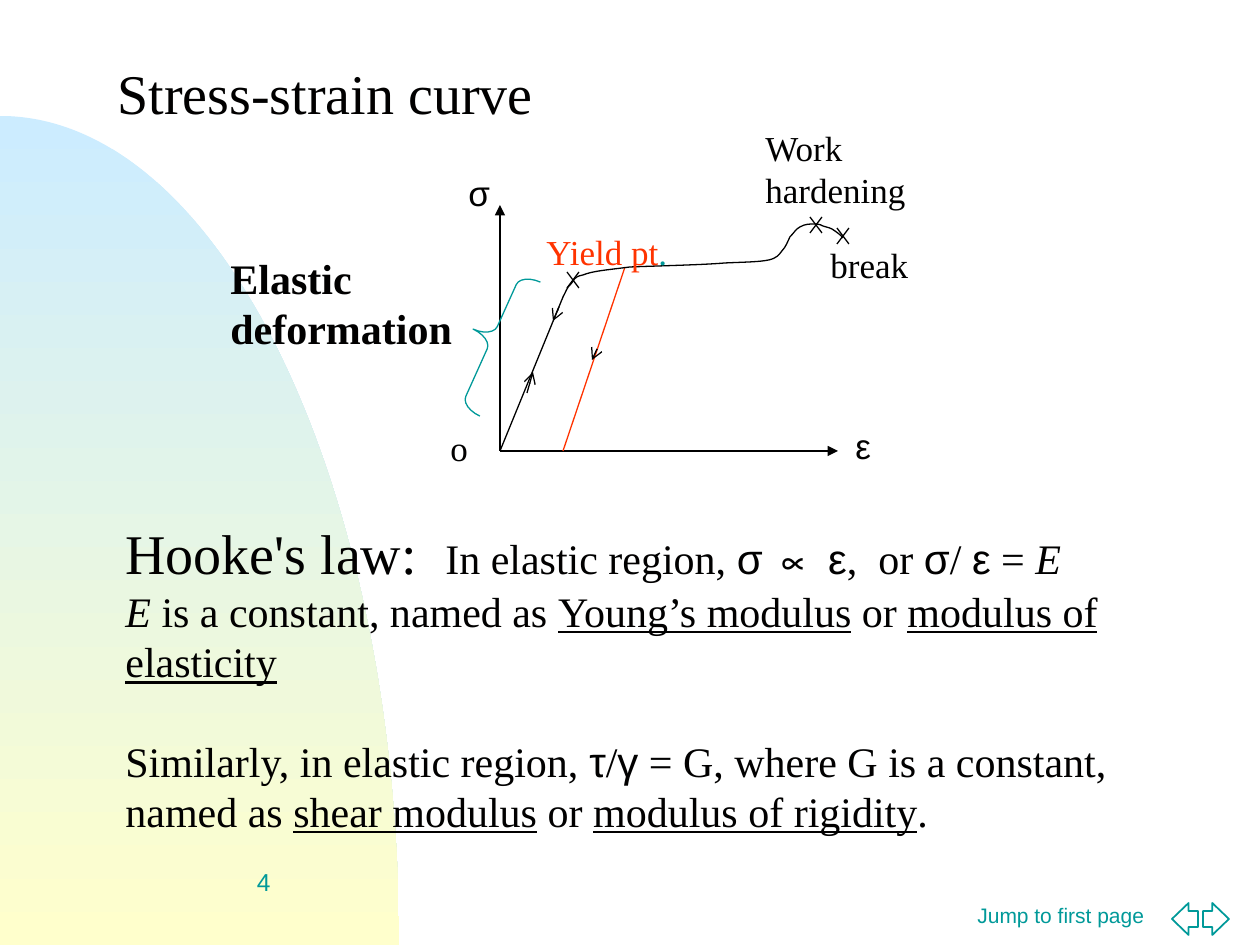
from dataclasses import dataclass

from lxml import etree
from pptx import Presentation
from pptx.dml.color import RGBColor
from pptx.enum.shapes import MSO_CONNECTOR, MSO_SHAPE
from pptx.enum.text import MSO_ANCHOR, MSO_AUTO_SIZE, PP_ALIGN
from pptx.oxml.ns import qn
from pptx.util import Emu, Pt

STRAIGHT = MSO_CONNECTOR.STRAIGHT
BRACE = MSO_SHAPE.LEFT_BRACE
BACK, NEXT = MSO_SHAPE.LEFT_ARROW, MSO_SHAPE.RIGHT_ARROW
LEFT, RIGHT = PP_ALIGN.LEFT, PP_ALIGN.RIGHT
MIDDLE = MSO_ANCHOR.MIDDLE
FIXED = MSO_AUTO_SIZE.NONE


@dataclass(frozen=True)
class Theme:
    ink: str = "010000"
    black: str = "000000"
    teal: str = "009999"
    red: str = "FF3300"
    white: str = "FFFFFF"
    sky: str = "CCECFF"
    sand: str = "FFFFCC"
    serif: str = "Times New Roman"
    sans: str = "Arial"
    head: int = 32
    body: int = 24
    label: int = 20
    page: int = 14
    link: int = 12
    thin: float = 0.75
    scale: float = 914400 / 126


def rgb(code):
    return RGBColor.from_string(code)


class Deck:
    """Draw styled parts on one slide, with lengths in px."""

    def __init__(self, theme):
        self.theme = theme
        self.file = Presentation()
        self.file.slide_width, self.file.slide_height = self.emu(1260, 945)
        self.slide = self.file.slides.add_slide(self.file.slide_layouts[5])
        self.shapes = self.slide.shapes

    def emu(self, *px):
        return [Emu(round(n * self.theme.scale)) for n in px]

    def style(self, run, font=None, size=None, color=None, **marks):
        theme = self.theme
        run.font.name = font or theme.serif
        run.font.size = Pt(size or theme.label)
        run.font.color.rgb = rgb(color or theme.ink)
        for name, value in marks.items():
            setattr(run.font, name, value)

    def title(self, box, words):
        shape = self.shapes.title
        shape.left, shape.top, shape.width, shape.height = self.emu(*box)
        frame = shape.text_frame
        frame.text = words
        frame.auto_size = FIXED
        frame.vertical_anchor = MIDDLE
        para = frame.paragraphs[0]
        para.alignment, para.line_spacing = LEFT, 0.7
        self.style(para.runs[0], size=self.theme.head)

    def text(self, box, *paras, align=LEFT, wrap=True, gaps=(), **base):
        frame = self.shapes.add_textbox(*self.emu(*box)).text_frame
        frame.word_wrap = wrap
        for i, parts in enumerate(paras):
            para = frame.add_paragraph() if i else frame.paragraphs[0]
            para.alignment = align
            if gaps:
                para.space_before = Pt(gaps[i])
            for part in [(parts, {})] if isinstance(parts, str) else parts:
                run = para.add_run()
                run.text = part[0]
                self.style(run, **{**base, **part[1]})

    def line(self, start, end, color=None, tip=None):
        link = self.shapes.add_connector(STRAIGHT, *self.emu(*start, *end))
        link.line.color.rgb = rgb(color or self.theme.black)
        link.line.width = Pt(self.theme.thin)
        if tip:
            stroke = link.line._get_or_add_ln()
            etree.SubElement(stroke, qn("a:tailEnd"), type=tip)
        etree.SubElement(link.element.spPr, qn("a:effectLst"))

    def cross(self, x, y):
        for side in (6, -6):
            self.line((x - side, y - 8), (x + side, y + 8))

    def shape(self, kind, box, adjust, width, fill=None, turn=0):
        shape = self.shapes.add_shape(kind, *self.emu(*box))
        shape.shadow.inherit = False
        shape.rotation = turn
        for i, value in enumerate(adjust):
            shape.adjustments[i] = value
        if fill:
            shape.fill.solid()
            shape.fill.fore_color.rgb = rgb(fill)
        else:
            shape.fill.background()
        shape.line.color.rgb = rgb(self.theme.teal)
        shape.line.width = Pt(width)

    def curve(self, start, points, close=False):
        """Turn each three points after the start into one Bezier arc."""
        pen = self.shapes.build_freeform(*self.emu(*start))
        pen.add_line_segments([self.emu(*p) for p in points], close=close)
        shape = pen.convert_to_shape()
        shape.shadow.inherit = False
        route = shape.element.xpath(".//a:path")[0]
        steps = route.findall(qn("a:lnTo"))
        for arc, *rest in zip(steps[::3], steps[1::3], steps[2::3]):
            arc.tag = qn("a:cubicBezTo")
            for step in rest:
                arc.append(step[0])
                route.remove(step)
        return shape

    def stroke(self, start, points):
        shape = self.curve(start, points)
        shape.fill.background()
        shape.line.color.rgb = rgb(self.theme.black)
        shape.line.width = Pt(self.theme.thin)

    def dome(self, start, points):
        shape = self.curve(start, points, close=True)
        shape.line.fill.background()
        shape.fill.gradient()
        shape.fill.gradient_angle = 270
        shades = (self.theme.sky, self.theme.sand)
        for i, (stop, shade) in enumerate(zip(shape.fill.gradient_stops, shades)):
            stop.position = i
            stop.color.rgb = rgb(shade)


def main():
    theme = Theme()
    deck = Deck(theme)
    deck.dome((0, 116), [(221, 116), (399, 488), (399, 945), (0, 945)])

    small = dict(font=theme.sans, color=theme.teal)
    deck.text((965, 896, 210, 58), "Jump to first page", gaps=[3], size=theme.link, **small)
    for kind, x in ((BACK, 1172), (NEXT, 1203)):
        deck.shape(kind, (x, 903, 26, 32), (0.5, 0.64), 1, theme.white)
    deck.text((21, 861, 262, 63), "4", align=RIGHT, size=theme.page, **small)
    deck.title((105, 21, 840, 158), "Stress-strain curve")

    zero, bend = (500, 451), (563, 297)
    for end in ((500, 205), (838, 451)):
        deck.line(zero, end, tip="triangle")
    deck.line(zero, bend)
    deck.line((625, 267), (563, 451), theme.red)
    deck.stroke(bend, [
        (566, 292), (567, 287), (571, 284), (575, 280), (573, 277), (583, 275),
        (593, 271), (607, 270), (630, 267), (654, 266), (702, 265), (725, 263),
        (747, 262), (759, 262), (769, 260), (777, 258), (779, 255), (782, 251),
        (786, 247), (788, 241), (790, 237), (794, 233), (796, 229), (800, 227),
        (805, 224), (810, 224), (814, 224), (816, 224), (820, 224), (823, 226),
        (825, 227), (828, 227), (832, 229), (837, 232), (843, 237), (843, 238)])
    for start, end in (((559, 307), (553, 321)), ((527, 393), (533, 372)),
                       ((597, 349), (592, 360))):
        deck.line(start, end, tip="arrow")
    for spot in ((816, 225), (843, 236), (573, 280)):
        deck.cross(*spot)

    greek = dict(font=theme.sans)
    deck.text((456, 165, 126, 55), "σ", **greek)
    deck.text((843, 418, 123, 97), "ε", **greek)
    deck.text((438, 420, 93, 55), "o")
    deck.text((534, 224, 160, 55),
              [("Yield pt", dict(color=theme.red)), (".", dict(color=theme.teal))])
    deck.text((753, 120, 204, 139), "Work hardening")
    deck.text((818, 237, 155, 55), "break")
    deck.shape(BRACE, (470, 267, 42, 147), (0.29, 0.48), theme.thin, turn=24.3)
    deck.text((218, 246, 247, 113), "Elastic", "deformation",
              wrap=False, size=theme.body, bold=True)

    lean, under = dict(italic=True), dict(underline=True)
    deck.text(
        (113, 512, 1077, 333),
        [("Hooke's law:  ", dict(size=theme.head)), ("In elastic region, ", {}),
         ("σ ∝ ε", greek), (",  or ", {}), ("σ", greek), ("/ ", {}),
         ("ε", greek), (" = ", {}), ("E", lean)],
        [("E", lean), (" is a constant, named as ", {}),
         ("Young’s modulus", under), (" or ", {}),
         ("modulus of elasticity", under)],
        [("Similarly, in elastic region, ", {}), ("τ", greek), ("/", {}),
         ("γ", greek), (" = G, where G is a constant, named as ", {}),
         ("shear modulus", under), (" or ", {}),
         ("modulus of rigidity", under), (".", {})],
        gaps=(0, 0, 28), size=theme.body)
    deck.file.save("out.pptx")


if __name__ == "__main__":
    main()
